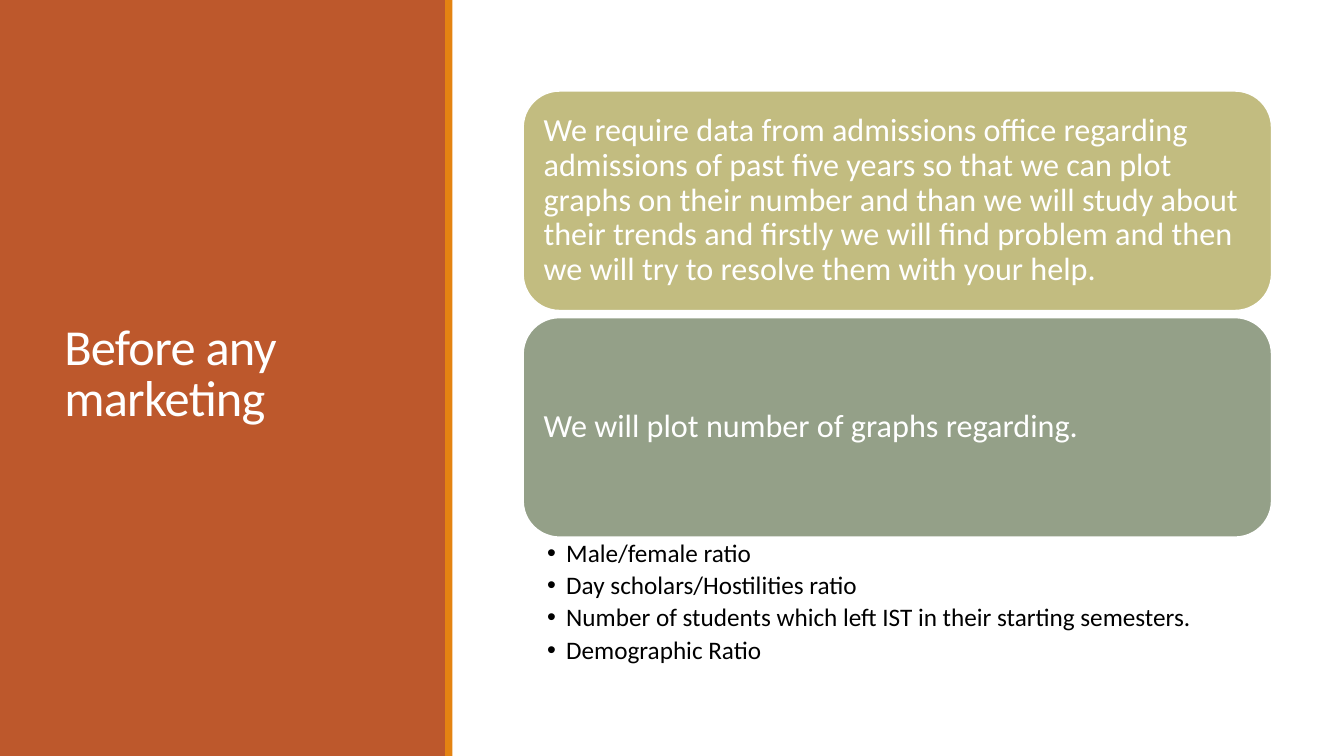
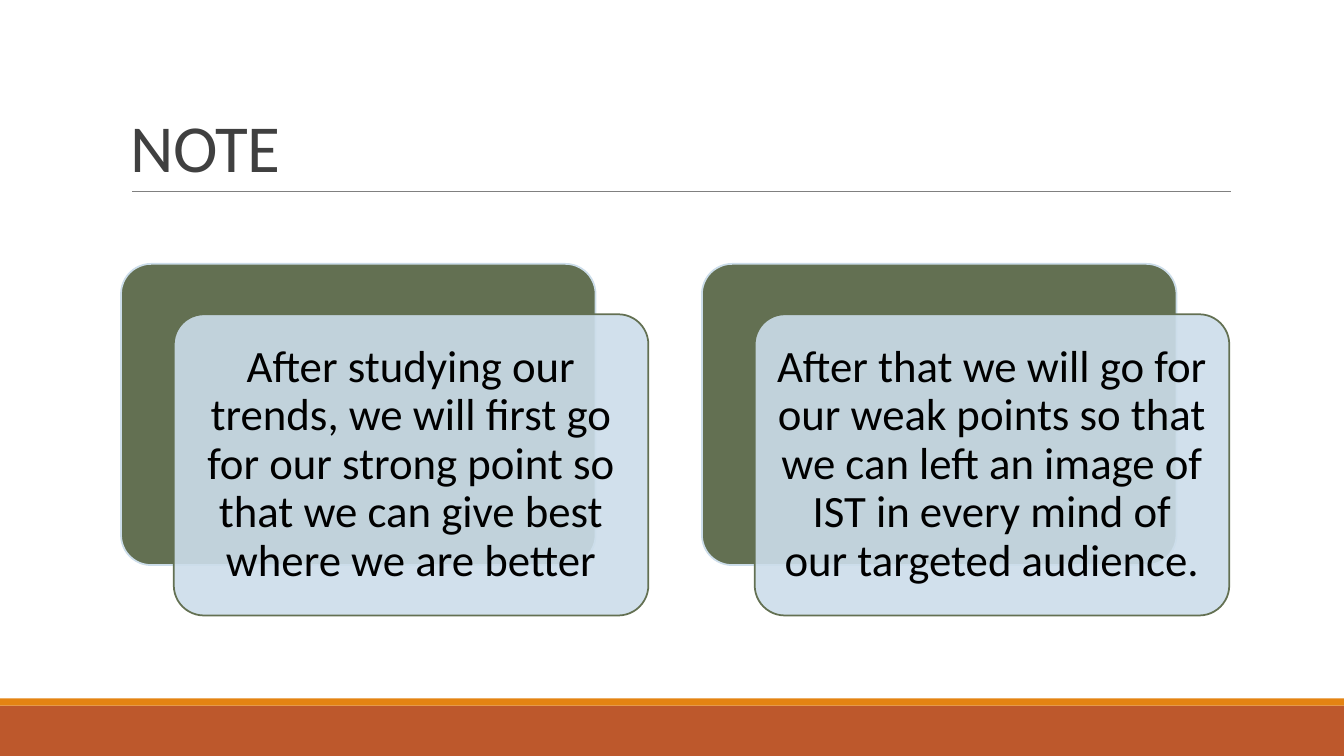
from lxml import etree
from pptx import Presentation
from pptx.dml.color import RGBColor
from pptx.enum import shapes as kinds, text as t
from pptx.oxml import ns
from pptx.util import Cm, Pt

RUST, ORANGE, WHITE, BLACK = "BD582C", "E48312", "FFFFFF", "000000"
MOSS, SKY, GREY, CHARCOAL = "637052", "CCDDEA", "808080", "404040"
FONT = "Calibri"
SLIDE_W, SLIDE_H = 33.87, 19.05
STRIP = 0.18
RECT, ROUND = kinds.MSO_SHAPE.RECTANGLE, kinds.MSO_SHAPE.ROUNDED_RECTANGLE
LEFT, CENTER = t.PP_ALIGN.LEFT, t.PP_ALIGN.CENTER
TOP, MIDDLE, BOTTOM = t.MSO_ANCHOR.TOP, t.MSO_ANCHOR.MIDDLE, t.MSO_ANCHOR.BOTTOM


def add_block(slide, kind, box, fill, line=None):
    block = slide.shapes.add_shape(kind, *map(Cm, box))
    block.shadow.inherit = False
    block.fill.solid()
    block.fill.fore_color.rgb = RGBColor.from_string(fill)
    if line:
        block.line.color.rgb = RGBColor.from_string(line)
        block.line.width = Pt(1.25)
    else:
        block.line.fill.background()
    return block


def write(shape, lines, size, color, align=LEFT, anchor=MIDDLE,
          insets=(0.25, 0.13, 0.25, 0.13), spacing=0.9, after=0):
    """Fill a shape with paragraphs; insets run left, top, right, bottom in cm."""
    frame = shape.text_frame
    frame.text = "\n".join(lines)
    sides = ("margin_left", "margin_top", "margin_right", "margin_bottom")
    frame_format = dict(zip(sides, map(Cm, insets)), word_wrap=True,
                        auto_size=t.MSO_AUTO_SIZE.NONE, vertical_anchor=anchor)
    paragraph_format = dict(alignment=align, line_spacing=spacing,
                            space_before=Pt(0), space_after=Pt(after))
    font_format = dict(name=FONT, size=Pt(size))
    for name, value in frame_format.items():
        setattr(frame, name, value)
    for paragraph in frame.paragraphs:
        for name, value in paragraph_format.items():
            setattr(paragraph, name, value)
        for run in paragraph.runs:
            for name, value in font_format.items():
                setattr(run.font, name, value)
            run.font.color.rgb = RGBColor.from_string(color)


prs = Presentation()
prs.slide_width, prs.slide_height = Cm(SLIDE_W), Cm(SLIDE_H)
title_and_body, title_only = prs.slide_layouts[1], prs.slide_layouts[5]
before, note = (prs.slides.add_slide(layout) for layout in (title_and_body, title_only))

# Colour bands, behind everything: a side panel, then a footer
for slide, bands in (
    (before, [((0, 0, 11.25, SLIDE_H), RUST), ((11.22, 0, STRIP, SLIDE_H), ORANGE)]),
    (note, [((0, 17.78, SLIDE_W, 1.27), RUST), ((0, 17.6, SLIDE_W, STRIP), ORANGE)]),
):
    for depth, (box, fill) in enumerate(bands):
        band = add_block(slide, RECT, box, fill)
        slide.shapes._spTree.insert(2 + depth, band._element)

# Titles
for slide, wording, box, size, color, anchor in (
    (before, "Before any marketing", (1.37, 1.45, 8.56, 16.03), 36, WHITE, MIDDLE),
    (note, "NOTE", (3.05, 0.79, 27.94, 4.04), 48, CHARCOAL, BOTTOM),
):
    title = slide.shapes.title
    title.left, title.top, title.width, title.height = map(Cm, box)
    write(title, [wording], size, color, anchor=anchor, spacing=0.85)
    for run in title.text_frame.paragraphs[0].runs:
        run._r.get_or_add_rPr().set("spc", "-50")

# Slide 1: two stacked steps and the list of graphs
STEP_X, STEP_Y, STEP_W, STEP_H, STEP_PITCH = 13.18, 2.29, 18.87, 5.54, 5.71
steps = [
    ("We require data from admissions office regarding admissions of past five years "
     "so that we can plot graphs on their number and than we will study about their "
     "trends and firstly we will find problem and then we will try to resolve them "
     "with your help.", "C2BC80"),
    ("We will plot number of graphs regarding.", "94A088"),
]
for i, (wording, fill) in enumerate(steps):
    step = add_block(before, ROUND, (STEP_X, STEP_Y + i * STEP_PITCH, STEP_W, STEP_H),
                     fill, WHITE)
    write(step, [wording], 23, WHITE, insets=(0.25,) * 4)

graphs = before.placeholders[1]
graphs.left, graphs.top, graphs.width, graphs.height = map(Cm, (STEP_X, 13.54, STEP_W, 3.43))
write(graphs, ["Male/female ratio", "Day scholars/Hostilities ratio",
               "Number of students which left IST in their starting semesters.",
               "Demographic Ratio"],
      18, BLACK, anchor=TOP, insets=(0.61, 0.08, 0.46, 0.08), after=3.6)
for paragraph in graphs.text_frame.paragraphs:
    properties = paragraph._p.get_or_add_pPr()
    properties.set("marL", str(Cm(0.48)))
    properties.set("indent", str(-Cm(0.48)))
    etree.SubElement(properties, ns.qn("a:buChar")).set("char", "•")

# Slide 2: rule under the title, then two layered cards
rule = note.shapes.add_connector(kinds.MSO_CONNECTOR.STRAIGHT,
                                 Cm(3.33), Cm(4.82), Cm(31.01), Cm(4.82))
rule.line.color.rgb = RGBColor.from_string(GREY)
rule.line.width = Pt(0.5)
etree.SubElement(rule._element.spPr, ns.qn("a:effectLst"))

CARD_X, CARD_Y, CARD_W, CARD_H, CARD_PITCH = 3.05, 6.65, 11.96, 7.59, 14.64
SHIFT_X, SHIFT_Y = 1.33, 1.27
plans = [
    "After studying our trends, we will first go for our strong point so that we can "
    "give best where we are better",
    "After that we will go for our weak points so that we can left an image of IST in "
    "every mind of our targeted audience.",
]
for i, wording in enumerate(plans):
    x = CARD_X + i * CARD_PITCH
    back = add_block(note, ROUND, (x, CARD_Y, CARD_W, CARD_H), MOSS, SKY)
    front = add_block(note, ROUND, (x + SHIFT_X, CARD_Y + SHIFT_Y, CARD_W, CARD_H), SKY, MOSS)
    for card in (back, front):
        card.adjustments[0] = 0.1
    sky = front._element.spPr.find(ns.qn("a:solidFill")).find(ns.qn("a:srgbClr"))
    etree.SubElement(sky, ns.qn("a:alpha")).set("val", "90000")
    write(front, [wording], 32, BLACK, align=CENTER, insets=(0.33,) * 4)

prs.save("out.pptx")
